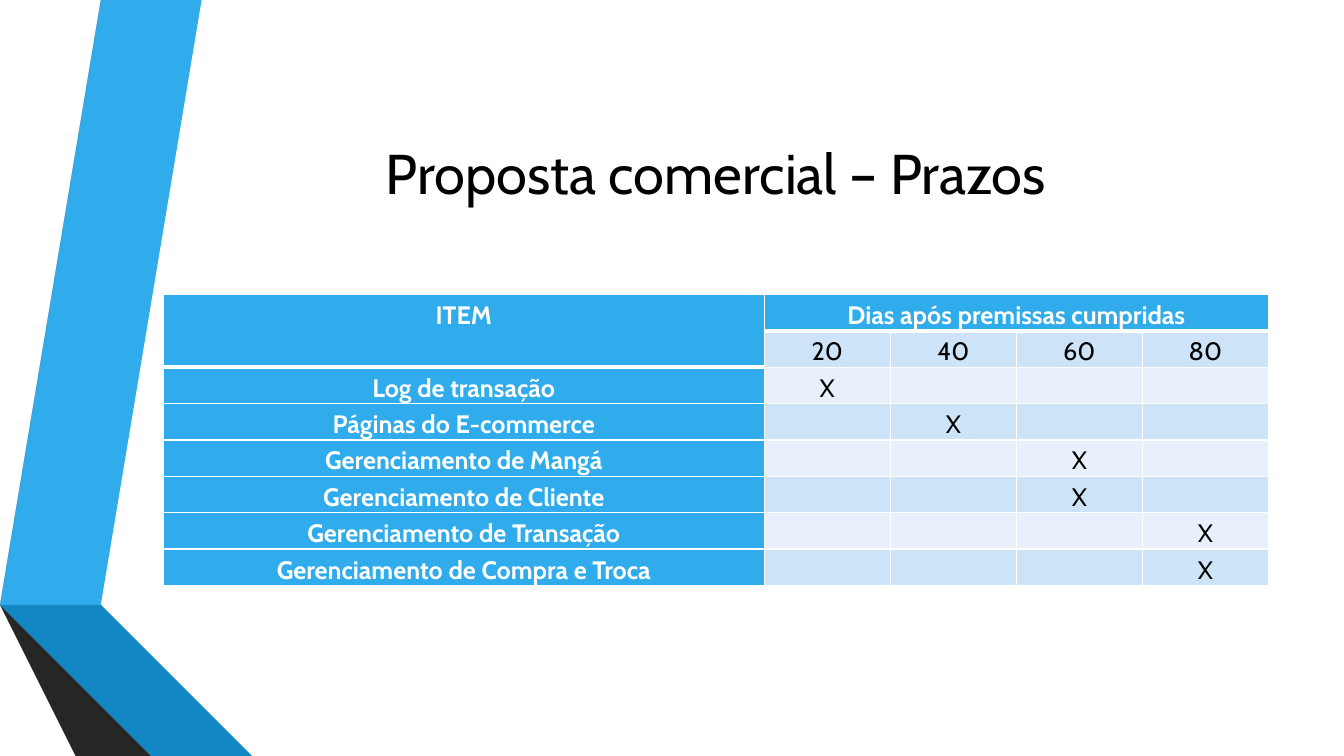
import pptx
import pptx.util
import pptx.dml.color
import pptx.enum.text
import pptx.oxml.ns
import lxml.etree

Inches = pptx.util.Inches
Pt = pptx.util.Pt
RGBColor = pptx.dml.color.RGBColor

# Content
TITLE = "Proposta comercial – Prazos"
ITEM_HEADING = "ITEM"
DAYS_HEADING = "Dias após premissas cumpridas"
DAYS = [20, 40, 60, 80]
DEADLINES = [
    ("Log de transação", 20),
    ("Páginas do E-commerce", 40),
    ("Gerenciamento de Mangá", 60),
    ("Gerenciamento de Cliente", 60),
    ("Gerenciamento de Transação", 80),
    ("Gerenciamento de Compra e Troca", 80),
]

# Style
FONT = "Cabin"
WHITE = RGBColor(0xFF, 0xFF, 0xFF)
BLACK = RGBColor(0x00, 0x00, 0x00)
BLUE = RGBColor(0x30, 0xAC, 0xEC)
DEEP_BLUE = RGBColor(0x12, 0x87, 0xC3)
NAVY = RGBColor(0x0C, 0x5A, 0x82)
GRAY = RGBColor(0x59, 0x59, 0x59)
DARK_GRAY = RGBColor(0x40, 0x40, 0x40)
CHARCOAL = RGBColor(0x26, 0x26, 0x26)
BAND_DARK = RGBColor(0xCD, 0xE3, 0xF8)
BAND_LIGHT = RGBColor(0xE8, 0xF1, 0xFB)

# Folded ribbons on the left, as corner points in inches
RIBBONS = [
    (BLUE, [(0.5, 5.78), (0.77, 5.83), (1.73, 0), (1.45, 0)]),
    (GRAY, [(1.39, 0), (1.11, 0), (0.16, 5.73), (0.44, 5.77)]),
    (CHARCOAL, [(0.16, 5.73), (1.45, 7.5), (1.51, 7.5)]),
    (NAVY, [(0.5, 5.79), (2.08, 7.5), (2.14, 7.5)]),
    (DEEP_BLUE, [(0.5, 5.78), (2.14, 7.5), (2.83, 7.5), (0.77, 5.83)]),
    (DARK_GRAY, [(2.02, 7.5), (0.48, 5.83), (0.44, 5.77), (0.16, 5.73), (1.51, 7.5)]),
]

# Layout, in inches
LEFT, WIDTH = 1.62, 10.96
TITLE_TOP, TITLE_HEIGHT = 0.75, 1.92
TABLE_TOP, ROW_HEIGHT = 2.92, 0.36
DAY_WIDTH = 1.25
ITEM_WIDTH = WIDTH - DAY_WIDTH * len(DAYS)


def format_text(frame, size, color, bold):
    frame.vertical_anchor = pptx.enum.text.MSO_ANCHOR.MIDDLE
    para = frame.paragraphs[0]
    para.alignment = pptx.enum.text.PP_ALIGN.CENTER
    for span in para.runs:
        span.font.name = FONT
        span.font.size = Pt(size)
        span.font.bold = bold
        span.font.color.rgb = color


def add_ribbon(page, color, points):
    builder = page.shapes.build_freeform(*points[0], scale=Inches(1))
    builder.add_line_segments(points[1:], close=True)
    ribbon = builder.convert_to_shape()
    ribbon.shadow.inherit = False
    ribbon.fill.solid()
    ribbon.fill.fore_color.rgb = color
    ribbon.line.fill.background()


def set_borders(cell, bottom_width):
    properties = cell._tc.get_or_add_tcPr()
    qn = pptx.oxml.ns.qn
    for side, width in (("L", 1), ("R", 1), ("T", 1), ("B", bottom_width)):
        line = lxml.etree.SubElement(properties, qn("a:ln" + side), w=str(Pt(width)))
        fill = lxml.etree.SubElement(line, qn("a:solidFill"))
        lxml.etree.SubElement(fill, qn("a:srgbClr"), val=str(WHITE))


def fill_cell(cell, text, row, column):
    heading = row == 0 or column == 0
    cell.text_frame.text = text
    format_text(cell.text_frame, 18, WHITE if heading else BLACK, heading)
    para = cell.text_frame.paragraphs[0]
    para.line_spacing = 1.15
    para.space_after = Pt(10)
    if row or column:
        cell.vertical_anchor = pptx.enum.text.MSO_ANCHOR.TOP
    cell.margin_left = cell.margin_right = Inches(0.07)
    cell.margin_top, cell.margin_bottom = Inches(0.01), 0
    set_borders(cell, 3 if row == 0 or (row, column) == (1, 0) else 1)
    cell.fill.solid()
    band = BAND_DARK if row % 2 else BAND_LIGHT
    cell.fill.fore_color.rgb = BLUE if heading else band


def add_schedule(page):
    rows = [[ITEM_HEADING, DAYS_HEADING] + [""] * (len(DAYS) - 1)]
    rows.append([""] + [str(day) for day in DAYS])
    for item, deadline in DEADLINES:
        rows.append([item] + ["X" if day == deadline else "" for day in DAYS])
    table = page.shapes.add_table(
        len(rows), len(DAYS) + 1, Inches(LEFT), Inches(TABLE_TOP),
        Inches(WIDTH), Inches(ROW_HEIGHT * len(rows))).table
    for index, column in enumerate(table.columns):
        column.width = Inches(DAY_WIDTH if index else ITEM_WIDTH)
    for row, texts in enumerate(rows):
        table.rows[row].height = Inches(ROW_HEIGHT)
        for column, text in enumerate(texts):
            fill_cell(table.cell(row, column), text, row, column)
    table.cell(0, 0).merge(table.cell(1, 0))
    table.cell(0, 1).merge(table.cell(0, len(DAYS)))


def main():
    deck = pptx.Presentation()
    deck.slide_width, deck.slide_height = Inches(13.33), Inches(7.5)
    page = deck.slides.add_slide(deck.slide_layouts[5])

    # Ribbons
    for color, points in RIBBONS:
        add_ribbon(page, color, points)

    # Title
    title = page.shapes.title
    title.left, title.top = Inches(LEFT), Inches(TITLE_TOP)
    title.width, title.height = Inches(WIDTH), Inches(TITLE_HEIGHT)
    title.text_frame.text = TITLE
    format_text(title.text_frame, 40, BLACK, False)

    # Schedule table
    add_schedule(page)
    deck.save("out.pptx")


if __name__ == "__main__":
    main()
